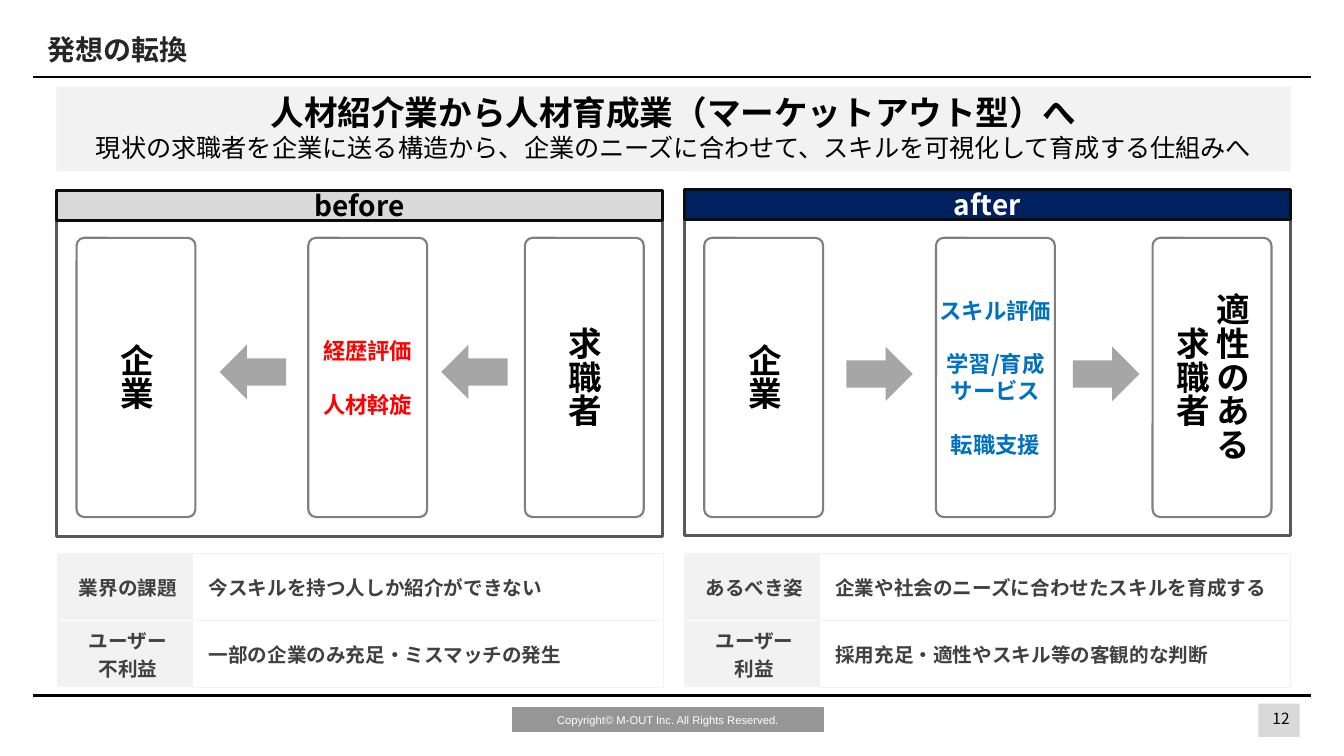
"""Build the before/after slide on shifting from placement to talent development."""
from lxml.etree import SubElement
from pptx import Presentation
from pptx.dml.color import RGBColor
from pptx.enum.shapes import MSO_CONNECTOR, MSO_SHAPE as SHAPE
from pptx.enum.text import MSO_ANCHOR as ANCHOR, PP_ALIGN as ALIGN
from pptx.oxml.ns import qn
from pptx.util import Inches, Pt

FONT = "Noto Sans CJK JP"


def add_box(kind, left, top, width, height, fill=None, line=None, line_width=1.5):
    """Add a shadowless shape with the given fill and outline."""
    shape = slide.shapes.add_shape(kind, Inches(left), Inches(top), Inches(width), Inches(height))
    shape.shadow.inherit = False
    for part, color in ((shape.fill, fill), (shape.line.fill, line)):
        if color:
            part.solid()
            part.fore_color.rgb = RGBColor.from_string(color)
        else:
            part.background()
    if line:
        shape.line.width = Pt(line_width)
    return shape


def write(frame, text, size, color, bold=True, align=ALIGN.CENTER, font=FONT):
    """Fill a text frame and format all of its runs."""
    frame.text = text
    for paragraph in frame.paragraphs:
        paragraph.alignment = align
        for run in paragraph.runs:
            run.font.size = Pt(size)
            run.font.bold = bold
            run.font.name = font
            run.font.color.rgb = RGBColor.from_string(color)
            SubElement(run.font._element, qn("a:ea"), typeface=font)


presentation = Presentation()
presentation.slide_width = Inches(13.34)
presentation.slide_height = Inches(7.5)
slide = presentation.slides.add_slide(presentation.slide_layouts[6])

for rule_top in (0.76, 6.9):
    rule = slide.shapes.add_connector(
        MSO_CONNECTOR.STRAIGHT, Inches(0.33), Inches(rule_top), Inches(13.01), Inches(rule_top))
    rule.line.color.rgb = RGBColor.from_string("000000")
    rule.line.width = Pt(1.5)
    SubElement(rule._element.spPr, qn("a:effectLst"))

title = slide.shapes.add_textbox(Inches(0.37), Inches(0.21), Inches(10), Inches(0.55))
title.text_frame.word_wrap = True
title.text_frame.vertical_anchor = ANCHOR.MIDDLE
write(title.text_frame, "発想の転換", 20, "262626", align=ALIGN.LEFT)

copyright_bar = add_box(SHAPE.RECTANGLE, 5.09, 7.02, 3.08, 0.24, "969696", "969696", 1)
copyright_bar.text_frame.vertical_anchor = ANCHOR.MIDDLE
write(copyright_bar.text_frame, "Copyright© M-OUT Inc. All Rights Reserved.", 8, "FFFFFF", False, font="Arial")

add_box(SHAPE.RECTANGLE, 12.49, 6.98, 0.41, 0.33, "D9D9D9")
page_number = slide.shapes.add_textbox(Inches(12.56), Inches(6.99), Inches(0.31), Inches(0.25))
page_number.text_frame.word_wrap = False
page_number.text_frame.margin_left = page_number.text_frame.margin_right = 0
write(page_number.text_frame, "12", 11, "000000", False)

message = add_box(SHAPE.RECTANGLE, 0.56, 0.86, 12.25, 0.84, "F2F2F2")
message.text_frame.vertical_anchor = ANCHOR.TOP
write(message.text_frame,
      "人材紹介業から人材育成業（マーケットアウト型）へ\n"
      "現状の求職者を企業に送る構造から、企業のニーズに合わせて、スキルを可視化して育成する仕組みへ",
      24, "000000")
for run in message.text_frame.paragraphs[1].runs:
    run.font.size = Pt(18)
    run.font.bold = False

panels = [
    dict(left=0.56, top=1.89, heading="before", fill="D9D9D9", color="000000",
         cards=("企業", "経歴評価\n人材斡旋", "求職者"), accent="FF0000", gaps=(1,),
         arrows=(2.18, 4.38), arrow_top=3.42, rotation=0, table_left=0.57,
         rows=(("業界の課題", "今スキルを持つ人しか紹介ができない"),
               ("ユーザー\v不利益", "一部の企業のみ充足・ミスマッチの発生"))),
    dict(left=6.79, top=1.88, heading="after", fill="002060", color="FFFFFF",
         cards=("企業", "スキル評価\n学習/育成\nサービス\n転職支援", "適性のある\n求職者"),
         accent="0070C0", gaps=(1, 3),
         arrows=(8.4, 10.65), arrow_top=3.44, rotation=180, table_left=6.79,
         rows=(("あるべき姿", "企業や社会のニーズに合わせたスキルを育成する"),
               ("ユーザー\v利益", "採用充足・適性やスキル等の客観的な判断"))),
]

for panel in panels:
    left, top = panel["left"], panel["top"]
    add_box(SHAPE.RECTANGLE, left, top, 6.02, 3.43, line="595959", line_width=2)
    heading = add_box(SHAPE.RECTANGLE, left, top, 6.02, 0.3, panel["fill"], "0D0D0D", 2)
    heading.text_frame.word_wrap = False
    heading.text_frame.vertical_anchor = ANCHOR.MIDDLE
    write(heading.text_frame, panel["heading"], 20, panel["color"])

    for offset, label in zip((0.2, 2.5, 4.65), panel["cards"]):
        card = add_box(SHAPE.ROUNDED_RECTANGLE, left + offset, 2.36, 1.18, 2.77, "FFFFFF", "7F7F7F")
        card.adjustments[0] = 0.065
        frame = card.text_frame
        frame.word_wrap = True
        frame.vertical_anchor = ANCHOR.MIDDLE
        is_service = offset == 2.5
        frame.margin_left = frame.margin_right = Inches(0 if is_service else 0.05)
        frame.margin_top = frame.margin_bottom = Inches(0.05 if is_service else 0)
        if is_service:
            write(frame, label, 16, panel["accent"])
            for index in panel["gaps"]:
                frame.paragraphs[index].space_before = Pt(19)
        else:
            write(frame, label, 24, "000000")
            body = card._element.txBody.bodyPr
            body.set("vert", "eaVert")
            body.set("anchorCtr", "1")

    for arrow_left in panel["arrows"]:
        arrow = add_box(SHAPE.LEFT_ARROW, arrow_left, panel["arrow_top"], 0.66, 0.54, "A6A6A6")
        arrow.rotation = panel["rotation"]

    table = slide.shapes.add_table(
        2, 2, Inches(panel["table_left"]), Inches(5.49), Inches(6.02), Inches(1.33)).table
    table.first_row = table.horz_banding = False
    table.columns[0].width = Inches(1.34)
    table.columns[1].width = Inches(4.68)
    for row_index, row in enumerate(panel["rows"]):
        for column_index, text in enumerate(row):
            cell = table.cell(row_index, column_index)
            cell.vertical_anchor = ANCHOR.MIDDLE
            cell.margin_left = Inches(0.16)
            is_label = column_index == 0
            write(cell.text_frame, text, 14, "404040", align=ALIGN.CENTER if is_label else ALIGN.LEFT)
            properties = cell._tc.get_or_add_tcPr()
            for side in ("L", "R", "T", "B"):
                inner = is_label and (side == "B" or (side == "T" and row_index == 1))
                border = SubElement(properties, qn(f"a:ln{side}"), w=str(Pt(0.75)))
                border_fill = SubElement(border, qn("a:solidFill"))
                SubElement(border_fill, qn("a:srgbClr"), val="FFFFFF" if inner else "F2F2F2")
            cell.fill.solid()
            cell.fill.fore_color.rgb = RGBColor.from_string("F2F2F2" if is_label else "FFFFFF")

presentation.save("out.pptx")
